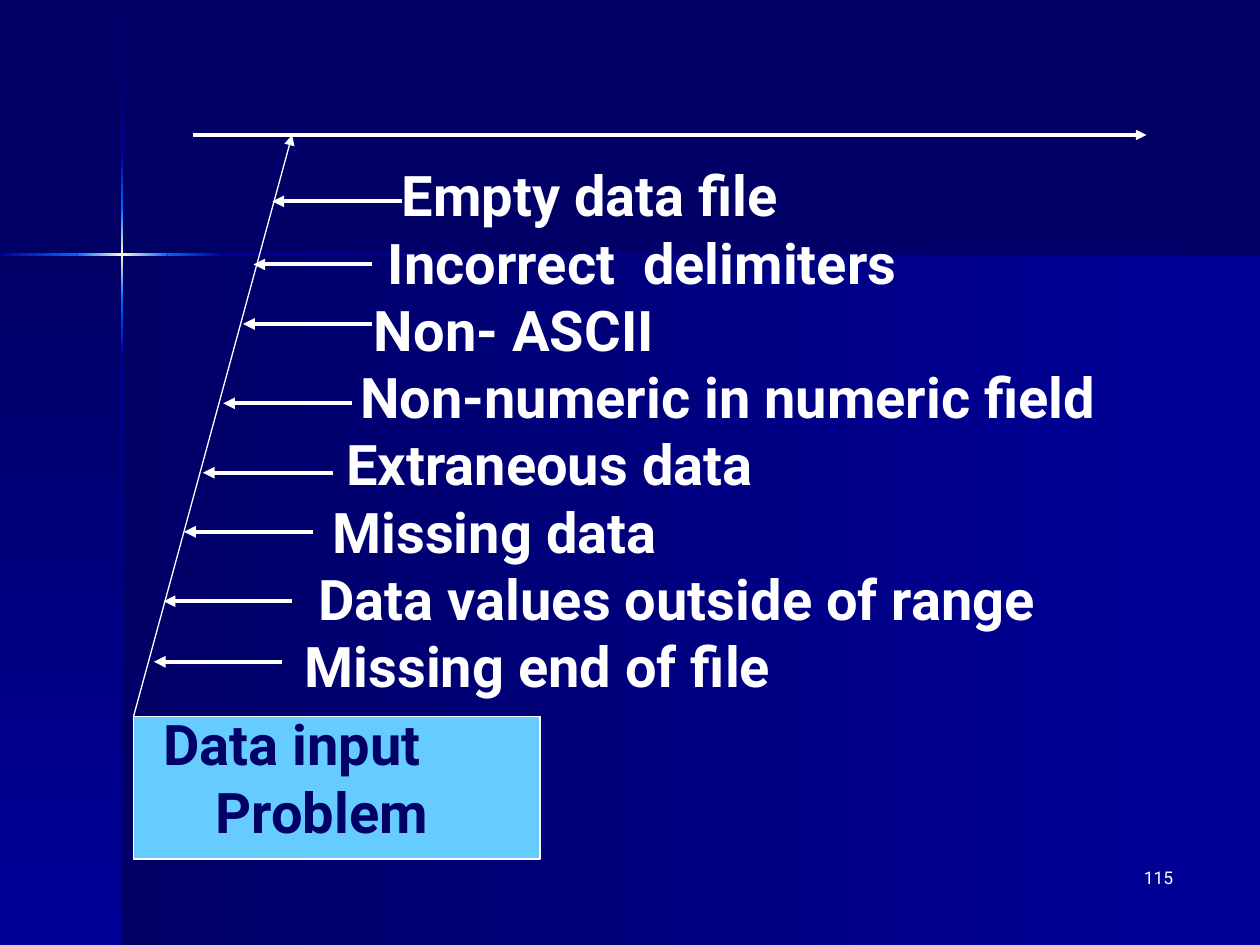
from dataclasses import dataclass

from lxml import etree
from pptx import Presentation
from pptx.dml.color import RGBColor
from pptx.enum.shapes import MSO_CONNECTOR, MSO_SHAPE
from pptx.enum.text import MSO_ANCHOR, PP_ALIGN
from pptx.oxml.ns import qn
from pptx.util import Cm, Pt

STRAIGHT = MSO_CONNECTOR.STRAIGHT
RECTANGLE = MSO_SHAPE.RECTANGLE
TOP = MSO_ANCHOR.TOP
LEFT, RIGHT = PP_ALIGN.LEFT, PP_ALIGN.RIGHT

FONT = "Roboto"
COLORS = {
    "navy": "000066",
    "royal": "000099",
    "azure": "0066FF",
    "cream": "FFFFCC",
    "sky": "66CCFF",
    "white": "FFFFFF",
}
SLIDE_W, SLIDE_H = 25.4, 19.05
CROSS_X, CROSS_Y = 2.46, 5.13  # where the two light beams meet
BEAM = 0.05
DOWN, LEFTWARD = 270, 180  # counter-clockwise gradient angles
INDENT_STEP = 0.28


@dataclass
class Band:
    """A background rectangle in cm, with gradient colours and direction."""
    left: float
    top: float
    width: float
    height: float
    colors: tuple[str, ...]
    angle: int


@dataclass
class Cause:
    """A cause with its arrow from tail to tip at height y, in cm."""
    text: str
    tail: float
    tip: float
    y: float


CAUSES = [
    Cause("Empty data file", 8.1, 5.49, 4.06),
    Cause("Incorrect  delimiters", 7.49, 5.11, 5.33),
    Cause("Non- ASCII", 7.49, 4.9, 6.53),
    Cause("Non-numeric in numeric field", 7.09, 4.5, 8.13),
    Cause("Extraneous data", 6.71, 4.09, 9.53),
    Cause("Missing data", 6.3, 3.71, 10.72),
    Cause("Data values outside of range", 5.89, 3.3, 12.12),
    Cause("Missing end of file", 5.69, 3.1, 13.34),
]

GLOW = ("azure", "cream", "azure")
VERTICAL_STOPS = [0.03, 3.07, 4.19, 6.05, 7.16, 19.05]
VERTICAL_COLORS = [("navy", "royal"), ("royal", "azure"), GLOW,
                   ("azure", "royal"), ("royal", "navy")]
HORIZONTAL_STOPS = [0, 1.54, 3.38, 4.5, 25.4]
HORIZONTAL_COLORS = [("azure", "royal"), GLOW, ("royal", "azure"), ("navy", "royal")]


def rgb(name: str) -> RGBColor:
    return RGBColor.from_string(COLORS[name])


def add_band(slide, band: Band) -> None:
    shape = slide.shapes.add_shape(
        RECTANGLE, Cm(band.left), Cm(band.top), Cm(band.width), Cm(band.height))
    shape.shadow.inherit = False
    shape.line.fill.background()
    shape.fill.gradient()
    shape.fill.gradient_angle = band.angle
    stops = shape._element.spPr.find(".//" + qn("a:gsLst"))
    for stop in list(stops):
        stops.remove(stop)
    for index, name in enumerate(band.colors):
        position = 100000 * index // (len(band.colors) - 1)
        stop = etree.SubElement(stops, qn("a:gs"), pos=str(position))
        etree.SubElement(stop, qn("a:srgbClr"), val=COLORS[name])


def add_background(slide) -> None:
    slide.background.fill.solid()
    slide.background.fill.fore_color.rgb = rgb("navy")
    lower = SLIDE_H - CROSS_Y
    bands = [
        Band(CROSS_X, CROSS_Y, SLIDE_W - CROSS_X, lower, ("royal", "navy"), LEFTWARD),
        Band(0, CROSS_Y, CROSS_X, lower, ("navy", "royal"), DOWN),
    ]
    for start, end, colors in zip(VERTICAL_STOPS, VERTICAL_STOPS[1:], VERTICAL_COLORS):
        bands.append(Band(CROSS_X - BEAM / 2, start, BEAM, end - start, colors, DOWN))
    for start, end, colors in zip(HORIZONTAL_STOPS, HORIZONTAL_STOPS[1:], HORIZONTAL_COLORS):
        bands.append(Band(start, CROSS_Y - BEAM / 2, end - start, BEAM, colors, LEFTWARD))
    for band in bands:
        add_band(slide, band)


def add_arrow(slide, start: tuple[float, float], end: tuple[float, float],
              width: float) -> None:
    arrow = slide.shapes.add_connector(
        STRAIGHT, Cm(start[0]), Cm(start[1]), Cm(end[0]), Cm(end[1]))
    arrow.line.color.rgb = rgb("white")
    arrow.line.width = Pt(width)
    etree.SubElement(arrow.line._get_or_add_ln(), qn("a:tailEnd"), type="triangle")
    etree.SubElement(arrow._element.spPr, qn("a:effectLst"))


def write_lines(shape, lines: list[str], *, size: float, color: str = "white",
                bold: bool = False, align=LEFT, indents: list[float] | None = None,
                line_spacing: float | None = None, space_before: float = 0) -> None:
    """Write one paragraph per line, each with its own left indent in cm."""
    frame = shape.text_frame
    frame.word_wrap = True
    frame.vertical_anchor = TOP
    for index, line in enumerate(lines):
        paragraph = frame.paragraphs[0] if index == 0 else frame.add_paragraph()
        paragraph.alignment = align
        paragraph.line_spacing = line_spacing
        paragraph.space_before = Pt(space_before)
        if indents:
            paragraph._p.get_or_add_pPr().set("marL", str(Cm(indents[index])))
        run = paragraph.add_run()
        run.text = line
        run.font.name = FONT
        run.font.size = Pt(size)
        run.font.bold = bold
        run.font.color.rgb = rgb(color)


def add_causes(slide) -> None:
    labels = slide.shapes.add_textbox(Cm(5.89), Cm(3.12), Cm(19.5), Cm(11.1))
    write_lines(labels, [cause.text for cause in CAUSES], size=32, bold=True,
                indents=[INDENT_STEP * step for step in reversed(range(len(CAUSES)))])
    for cause in CAUSES:
        add_arrow(slide, (cause.tail, cause.y), (cause.tip, cause.y), 2.25)


def add_problem(slide) -> None:
    problem = slide.shapes.add_shape(RECTANGLE, Cm(2.69), Cm(14.45), Cm(8.2), Cm(2.87))
    problem.shadow.inherit = False
    problem.fill.solid()
    problem.fill.fore_color.rgb = rgb("sky")
    problem.line.color.rgb = rgb("white")
    problem.line.width = Pt(0.75)
    write_lines(problem, ["Data input", "Problem"], size=32, color="navy", bold=True,
                indents=[0.35, 1.41], line_spacing=0.8, space_before=8)


def main() -> None:
    presentation = Presentation()
    presentation.slide_width, presentation.slide_height = Cm(SLIDE_W), Cm(SLIDE_H)
    blank_layout = presentation.slide_layouts[6]
    slide = presentation.slides.add_slide(blank_layout)
    add_background(slide)
    add_problem(slide)
    add_arrow(slide, (2.69, 14.45), (5.89, 2.72), 0.75)
    add_causes(slide)
    add_arrow(slide, (3.89, 2.72), (23.11, 2.72), 2)
    page_number = slide.shapes.add_textbox(Cm(18.62), Cm(17.35), Cm(5.28), Cm(1.27))
    write_lines(page_number, ["115"], size=10, align=RIGHT)
    presentation.save("out.pptx")


if __name__ == "__main__":
    main()
